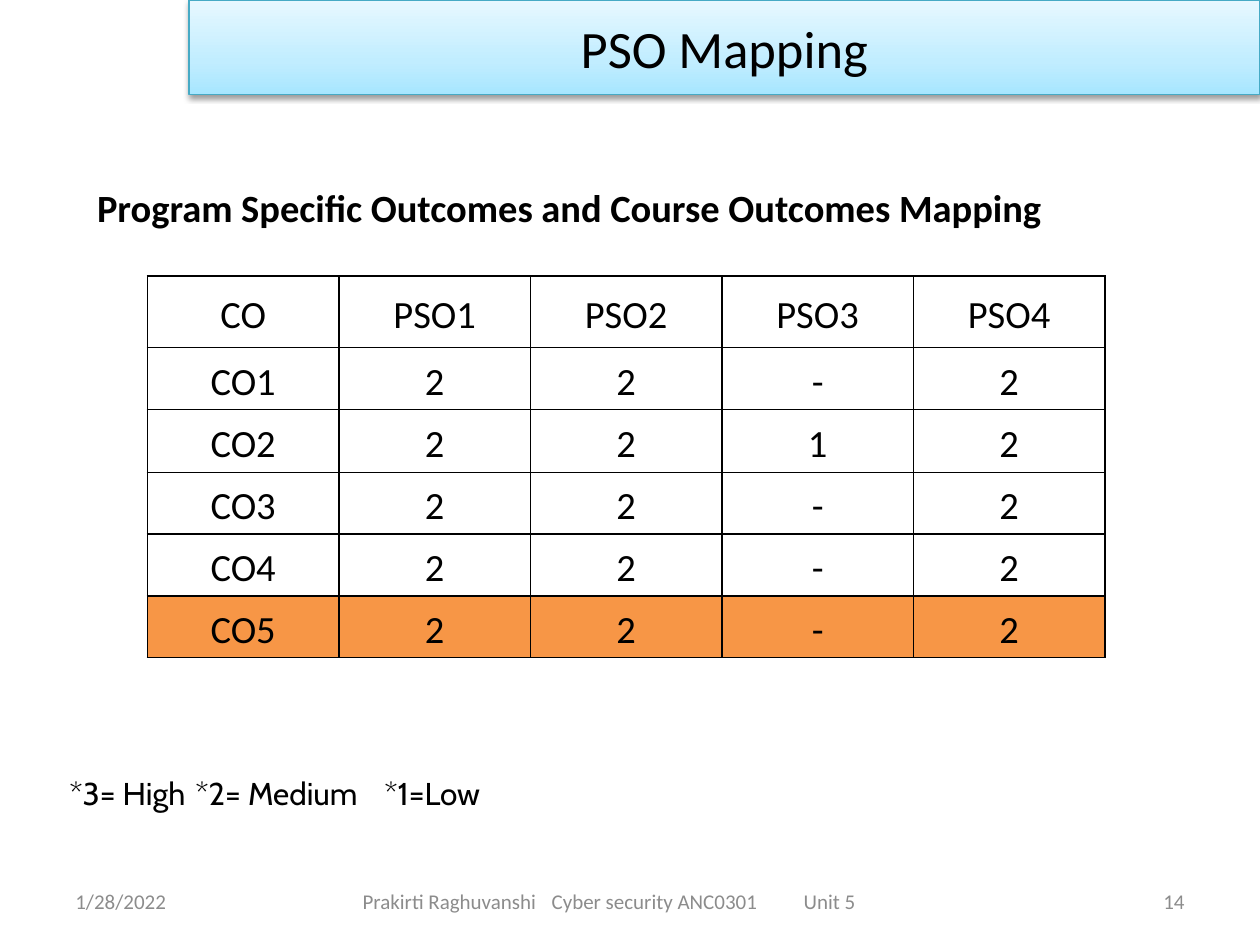
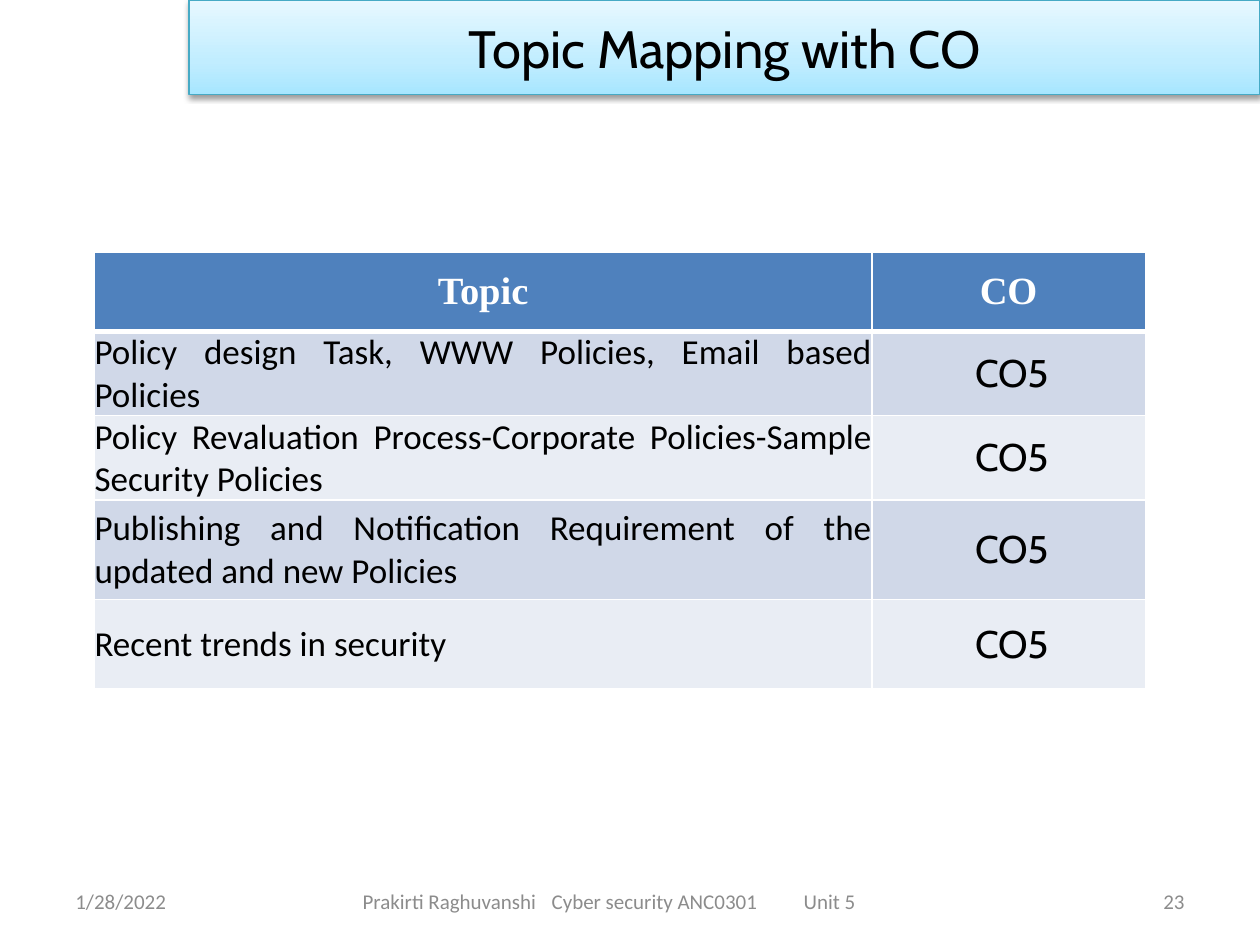
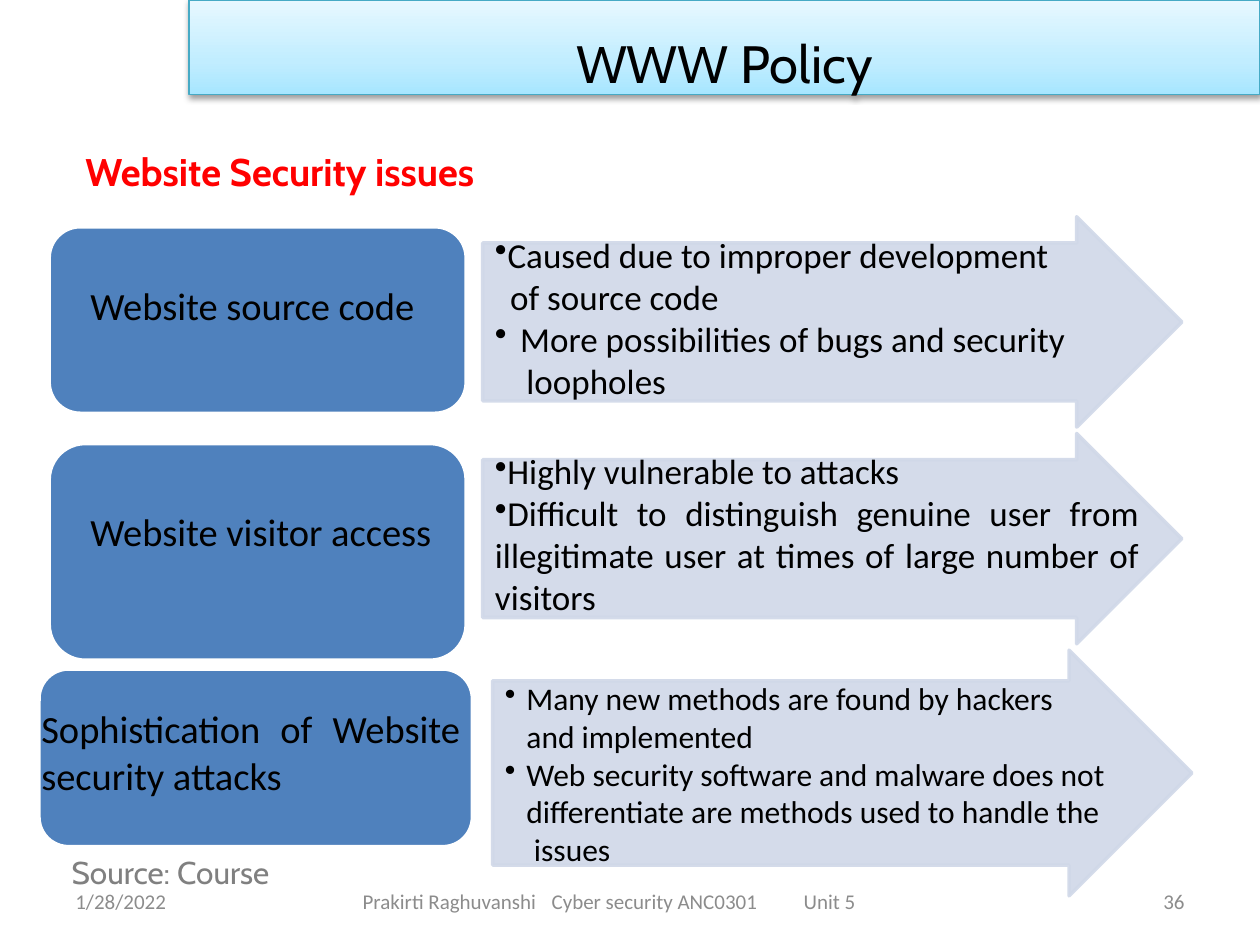
from collections import namedtuple
from copy import deepcopy

from lxml import etree
from pptx import Presentation
from pptx.dml.color import RGBColor
from pptx.enum.shapes import MSO_SHAPE
from pptx.enum.text import MSO_ANCHOR, PP_ALIGN
from pptx.oxml import parse_xml
from pptx.oxml.ns import nsdecls, qn
from pptx.util import Inches, Pt

RECTANGLE = MSO_SHAPE.RECTANGLE
ROUNDED = MSO_SHAPE.ROUNDED_RECTANGLE
ARROW = MSO_SHAPE.RIGHT_ARROW
TOP, MIDDLE = MSO_ANCHOR.TOP, MSO_ANCHOR.MIDDLE
LEFT, CENTER = PP_ALIGN.LEFT, PP_ALIGN.CENTER
RIGHT, JUSTIFY = PP_ALIGN.RIGHT, PP_ALIGN.JUSTIFY

Theme = namedtuple(
    "Theme",
    "black white grey source red blue pale paler orange band_line band_stops "
    "title heading body small footer sans display serif",
)
theme = Theme(
    black="000000", white="FFFFFF", grey="8C8C8C", source="808080", red="FF0000",
    blue="4F81BD", pale="D0D8E8", paler="E9EDF4", orange="F79646", band_line="46AAC5",
    band_stops=[(0, "A7E6FF"), (0.35, "C1EDFF"), (1, "E7F8FF")],
    title=30, heading=22, body=20, small=18, footer=12,
    sans="Calibri", display="Cabin", serif="Times New Roman",
)


def write(holder, lines, size, name=theme.sans, color=theme.black, bold=False,
          box_format=None, para_format=None, tabs=()):
    for key, value in (box_format or {}).items():
        setattr(holder, key, value)
    frame = getattr(holder, "text_frame", holder)
    for index, (text, bullet, margin, indent) in enumerate(lines):
        para = frame.add_paragraph() if index else frame.paragraphs[0]
        for key, value in (para_format or {}).items():
            setattr(para, key, value)
        properties = para._p.get_or_add_pPr()
        properties.set("marL", str(Inches(margin)))
        properties.set("indent", str(Inches(indent)))
        if bullet:
            etree.SubElement(properties, qn("a:buChar")).set("char", "•")
        if tabs:
            stops = etree.SubElement(properties, qn("a:tabLst"))
            for position in tabs:
                stop = etree.SubElement(stops, qn("a:tab"))
                stop.set("pos", str(Inches(position)))
                stop.set("algn", "l")
        span = para.add_run()
        span.text = text
        font_format = {"size": Pt(size), "name": name, "bold": bold}
        for key, value in font_format.items():
            setattr(span.font, key, value)
        span.font.color.rgb = RGBColor.from_string(color)


def add_grid(slide, area, widths, heights, border):
    frame = slide.shapes.add_table(len(heights), len(widths), *map(Inches, area))
    table = frame.table
    table.first_row = table.horz_banding = False
    for column, width in zip(table.columns, widths):
        column.width = Inches(width)
    for row, height in zip(table.rows, heights):
        row.height = Inches(height)
    for cell in table.iter_cells():
        for side in ("lnL", "lnR", "lnT", "lnB"):
            cell._tc.get_or_add_tcPr().append(parse_xml(
                f'<a:{side} {nsdecls("a")} w="12700"><a:solidFill>'
                f'<a:srgbClr val="{border}"/></a:solidFill></a:{side}>'))
    return table


deck = Presentation()
deck.slide_width, deck.slide_height = Inches(10), Inches(7.5)

titles = [
    ("PSO Mapping", "14", theme.sans, 1),
    ("Topic Mapping with CO", "23", theme.display, 1),
    ("WWW Policy", "36", theme.display, 1.5),
]
footer_text = "Prakirti Raghuvanshi\tCyber security ANC0301\tUnit 5"
slides = []
for title, number, font_name, spacing in titles:
    slide = deck.slides.add_slide(deck.slide_layouts[6])
    slides.append(slide)
    band = slide.shapes.add_shape(RECTANGLE, Inches(1.5), 0, Inches(8.5), Inches(0.75))
    band.fill.gradient()
    band.fill.gradient_angle = 90
    stop_list = band.element.spPr.find(qn("a:gradFill")).find(qn("a:gsLst"))
    stop_list.insert(1, deepcopy(stop_list[0]))
    for stop, (position, color) in zip(band.fill.gradient_stops, theme.band_stops):
        stop.position = position
        stop.color.rgb = RGBColor.from_string(color)
    band.line.color.rgb = RGBColor.from_string(theme.band_line)
    band.line.width = Pt(0.75)
    band.shadow.inherit = False
    band.element.spPr.find(qn("a:effectLst")).append(parse_xml(
        f'<a:outerShdw {nsdecls("a")} blurRad="40000" dist="20000" dir="5400000" '
        'rotWithShape="0"><a:srgbClr val="000000"><a:alpha val="38000"/>'
        '</a:srgbClr></a:outerShdw>'))
    write(band.text_frame, [(title, False, 0, 0)], theme.title, font_name,
          box_format={"word_wrap": True, "vertical_anchor": MIDDLE},
          para_format={"alignment": CENTER, "line_spacing": spacing})

    for text, left, width, alignment, tabs in [
        ("1/28/2022", 0.5, 2.33, LEFT, ()),
        (footer_text, 2.78, 5.5, LEFT, (1.87, 4.81)),
        (number, 7.17, 2.33, RIGHT, ()),
    ]:
        box = slide.shapes.add_textbox(Inches(left), Inches(6.95), Inches(width), Inches(0.4))
        write(box.text_frame, [(text, False, 0, 0)], theme.footer, color=theme.grey,
              box_format={"word_wrap": True, "vertical_anchor": MIDDLE},
              para_format={"alignment": alignment}, tabs=tabs)

pso_slide, topic_slide, policy_slide = slides

legend = pso_slide.shapes.add_textbox(0, Inches(6.09), Inches(9.77), Inches(0.4))
write(legend.text_frame, [("*3= High\t*2= Medium\t*1=Low", False, 0, 0)],
      theme.small, theme.display, tabs=(2.55, 5.55),
      box_format={"word_wrap": True, "vertical_anchor": MIDDLE, "margin_left": Inches(0.55)})

heading = pso_slide.shapes.add_textbox(Inches(0.47), Inches(1.41), Inches(8.52), Inches(0.42))
write(heading.text_frame,
      [("Program Specific Outcomes and Course Outcomes Mapping", False, 0, 0)],
      theme.heading, bold=True,
      box_format={"word_wrap": True, "vertical_anchor": MIDDLE,
                  "margin_left": Inches(0.3), "margin_bottom": 0})

pso_rows = [
    ["CO", "PSO1", "PSO2", "PSO3", "PSO4"],
    ["CO1", "2", "2", "-", "2"],
    ["CO2", "2", "2", "1", "2"],
    ["CO3", "2", "2", "-", "2"],
    ["CO4", "2", "2", "-", "2"],
    ["CO5", "2", "2", "-", "2"],
]
pso_table = add_grid(pso_slide, (1.17, 2.19, 7.58, 3.03), [1.52] * 5,
                     [0.57, 0.49, 0.5, 0.49, 0.49, 0.49], theme.black)
pso_cell = {"margin_left": Inches(0.07), "margin_right": Inches(0.07),
            "margin_top": 0, "margin_bottom": 0, "vertical_anchor": MIDDLE}
for row, values in enumerate(pso_rows):
    for column, value in enumerate(values):
        cell = pso_table.cell(row, column)
        cell.fill.solid()
        cell.fill.fore_color.rgb = RGBColor.from_string(
            theme.orange if values[0] == "CO5" else theme.white)
        write(cell, [(value, False, 0, 0)], theme.heading, box_format=pso_cell,
              para_format={"alignment": CENTER, "line_spacing": 1.15})

topic_rows = [
    ("Topic", "CO"),
    ("Policy design Task, WWW Policies, Email based Policies", "CO5"),
    ("Policy Revaluation Process-Corporate Policies-Sample Security Policies", "CO5"),
    ("Publishing and Notification Requirement of the updated and new Policies", "CO5"),
    ("Recent trends in security", "CO5"),
]
topic_table = add_grid(topic_slide, (0.75, 2, 8.33, 3.47), [6.17, 2.17],
                       [0.63, 0.67, 0.67, 0.79, 0.71], theme.white)
header_style = (theme.heading, theme.serif, theme.white, True)
topic_styles = [(theme.body, theme.sans), (theme.heading, theme.display)]
for row, values in enumerate(topic_rows):
    for column, value in enumerate(values):
        cell = topic_table.cell(row, column)
        cell.fill.solid()
        fill = theme.blue if row == 0 else (theme.paler, theme.pale)[row % 2]
        cell.fill.fore_color.rgb = RGBColor.from_string(fill)
        style = topic_styles[column] if row else header_style
        topic_cell = {"margin_left": Inches(0.05 if row and column else 0),
                      "margin_right": 0, "margin_top": 0, "margin_bottom": 0,
                      "vertical_anchor": MIDDLE}
        write(cell, [(value, False, 0, 0)], *style, box_format=topic_cell,
              para_format={"alignment": JUSTIFY if row and not column else CENTER})
        if row < 2:
            edge = cell._tc.tcPr.find(qn("a:lnT" if row else "a:lnB"))
            edge.set("w", str(Pt(3)))

issues = policy_slide.shapes.add_textbox(Inches(0.58), Inches(0.94), Inches(9), Inches(0.7))
write(issues.text_frame, [("Website Security issues", False, 0.38, -0.38)],
      theme.heading, theme.display, theme.red, True,
      box_format={"word_wrap": True, "vertical_anchor": TOP},
      para_format={"alignment": JUSTIFY, "line_spacing": 1.5, "space_before": Pt(4.4)})

issue_rows = [
    {"block": (0.39, 1.8, 3.31, 1.48), "arrow": (3.83, 1.72, 5.55, 1.67),
     "label": (0.62, 2.19, 2.8, 0.47), "detail": (3.83, 1.8, 5.31, 1.45),
     "name": "Website source code", "wrap": False, "size": theme.body,
     "points": [("Caused due to improper development", True, 0.1, -0.1),
                ("of source code", False, 0.12, 0),
                ("More possibilities of bugs and security", True, 0.2, -0.2),
                ("loopholes", False, 0.25, 0)]},
    {"block": (0.39, 3.52, 3.31, 1.72), "arrow": (3.83, 3.44, 5.55, 1.67),
     "label": (0.62, 3.98, 2.94, 0.47), "detail": (3.83, 3.52, 5.31, 1.45),
     "name": "Website visitor access", "wrap": False, "size": theme.body,
     "points": [("Highly vulnerable to attacks", True, 0, 0),
                ("Difficult to distinguish genuine user from illegitimate user at "
                 "times of large number of visitors", True, 0, 0)]},
    {"block": (0.31, 5.31, 3.44, 1.41), "arrow": (3.91, 5.16, 5.55, 1.95),
     "label": (0.23, 5.55, 3.52, 0.84), "detail": (3.91, 5.34, 5, 1.62),
     "name": "Sophistication of Website security attacks", "wrap": True,
     "size": theme.small,
     "points": [("Many new methods are found by hackers", True, 0.17, -0.17),
                ("and implemented", False, 0.17, 0),
                ("Web security software and malware does not", True, 0.17, -0.17),
                ("differentiate are methods used to handle the", False, 0.17, 0),
                ("issues", False, 0.23, 0)]},
]
for issue in issue_rows:
    for part, outline, fill, line in [
        ("block", ROUNDED, theme.blue, theme.white),
        ("arrow", ARROW, theme.pale, theme.pale),
    ]:
        shape = policy_slide.shapes.add_shape(outline, *map(Inches, issue[part]))
        shape.shadow.inherit = False
        shape.fill.solid()
        shape.fill.fore_color.rgb = RGBColor.from_string(fill)
        shape.line.color.rgb = RGBColor.from_string(line)
        shape.line.width = Pt(2)
        if part == "arrow":
            shape.adjustments[0] = 0.75
            for color in shape.element.spPr.iter(qn("a:srgbClr")):
                etree.SubElement(color, qn("a:alpha")).set("val", "90000")
    for part, lines, size, wrap in [
        ("label", [(issue["name"], False, 0, 0)], theme.heading, issue["wrap"]),
        ("detail", issue["points"], issue["size"], True),
    ]:
        box = policy_slide.shapes.add_textbox(*map(Inches, issue[part]))
        write(box.text_frame, lines, size,
              box_format={"word_wrap": wrap, "vertical_anchor": TOP},
              para_format={"alignment": JUSTIFY if wrap else LEFT})

source = policy_slide.shapes.add_textbox(Inches(0.47), Inches(6.72), Inches(2.11), Inches(0.4))
write(source.text_frame, [("Source: Course", False, 0, 0)], theme.small,
      theme.display, theme.source, box_format={"word_wrap": True})

deck.save("out.pptx")
